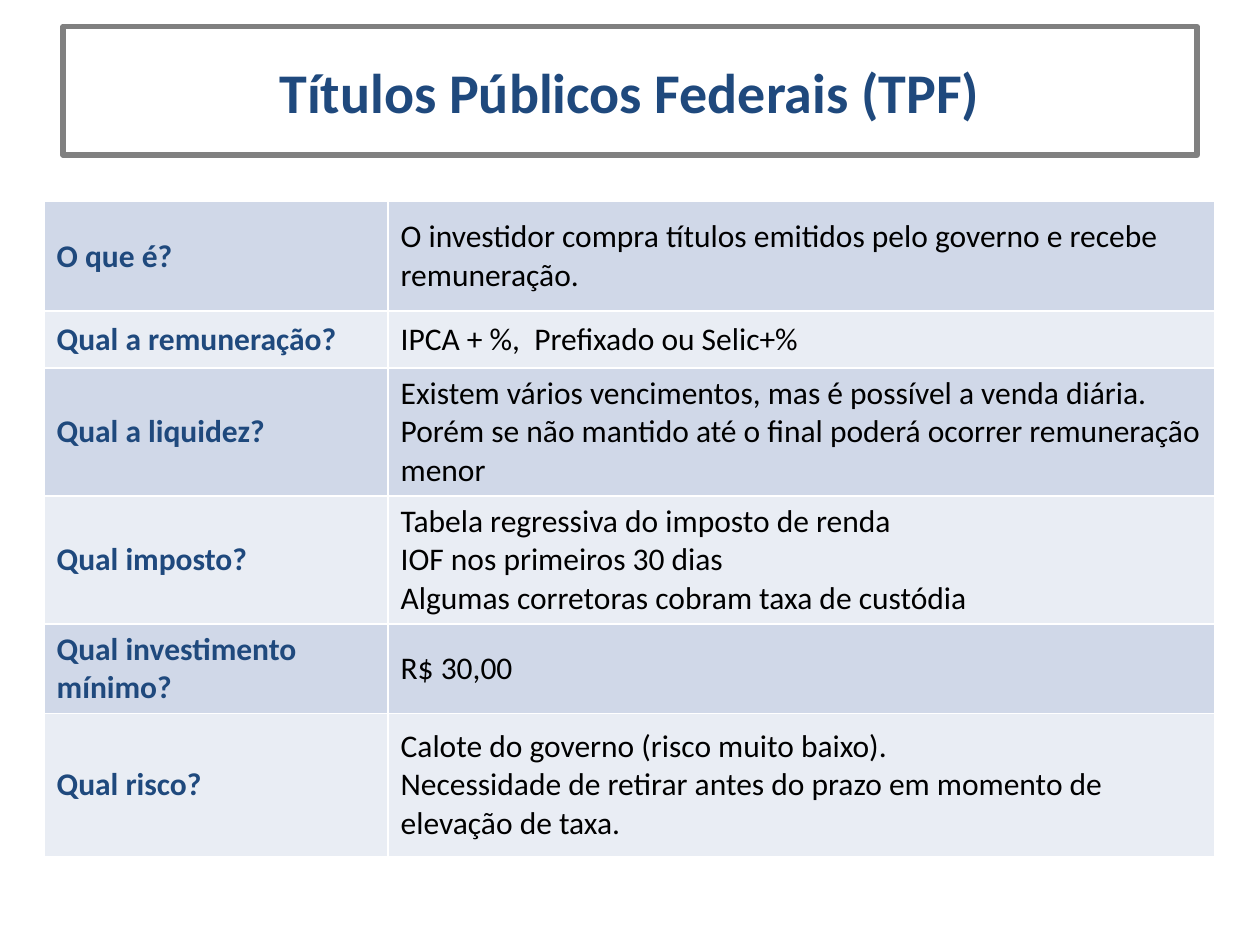
import pptx
import pptx.dml.color
import pptx.enum.text
import pptx.oxml
import pptx.oxml.ns
import pptx.util
from dataclasses import dataclass
from pptx.util import Inches


@dataclass(frozen=True)
class Theme:
    font: str = "Calibri"
    navy: str = "1F497D"
    black: str = "000000"
    frame: str = "808080"
    grid: str = "FFFFFF"
    bands: tuple = ("D0D8E8", "E9EDF4")
    title_size: int = 32
    body_size: int = 18
    frame_width: int = 3
    grid_width: int = 1


THEME = Theme()
TITLE = "Títulos Públicos Federais (TPF)"
COLUMN_WIDTHS = (2.73, 6.56)
# Row height in inches, question, answer paragraphs
QUESTIONS = (
    (0.87, "O que é?",
     ["O investidor compra títulos emitidos pelo governo e recebe remuneração."]),
    (0.45, "Qual a remuneração?", ["IPCA + %,  Prefixado ou Selic+%"]),
    (0.68, "Qual a liquidez?",
     ["Existem vários vencimentos, mas é possível a venda diária. "
      "Porém se não mantido até o final poderá ocorrer remuneração menor"]),
    (0.8, "Qual imposto?",
     ["Tabela regressiva do imposto de renda",
      "IOF nos primeiros 30 dias",
      "Algumas corretoras cobram taxa de custódia"]),
    (0.68, "Qual investimento mínimo?", ["R$ 30,00"]),
    (1.14, "Qual risco?",
     ["Calote do governo (risco muito baixo).",
      "Necessidade de retirar antes do prazo em momento de elevação de taxa."]),
)


def rgb(value):
    return pptx.dml.color.RGBColor.from_string(value)


def write(frame, paragraphs, size, color, bold, align):
    frame.text = "\n".join(paragraphs)
    font_format = {"name": THEME.font, "size": pptx.util.Pt(size), "bold": bold}
    for paragraph in frame.paragraphs:
        paragraph.alignment = align
        for run in paragraph.runs:
            for attribute, value in font_format.items():
                setattr(run.font, attribute, value)
            run.font.color.rgb = rgb(color)


def add_cell_borders(cell):
    """Put the four border lines ahead of the cell's fill, as the schema asks."""
    properties = cell._tc.get_or_add_tcPr()
    for position, side in enumerate(("lnL", "lnR", "lnT", "lnB")):
        border = pptx.oxml.parse_xml(
            f'<a:{side} {pptx.oxml.ns.nsdecls("a")} w="{pptx.util.Pt(THEME.grid_width)}">'
            f'<a:solidFill><a:srgbClr val="{THEME.grid}"/></a:solidFill></a:{side}>')
        properties.insert(position, border)


def place_title(slide, left, top, width, height):
    title = slide.shapes.title
    box = {"left": left, "top": top, "width": width, "height": height}
    for attribute, value in box.items():
        setattr(title, attribute, value)
    title.line.color.rgb = rgb(THEME.frame)
    title.line.width = pptx.util.Pt(THEME.frame_width)
    title.text_frame.vertical_anchor = pptx.enum.text.MSO_ANCHOR.MIDDLE
    write(title.text_frame, [TITLE], THEME.title_size, THEME.navy, True,
          pptx.enum.text.PP_ALIGN.CENTER)


def place_questions(slide, left, top, width, height):
    table = slide.shapes.add_table(
        len(QUESTIONS), len(COLUMN_WIDTHS), left, top, width, height).table
    table.first_row = table.horz_banding = False
    for column, column_width in zip(table.columns, COLUMN_WIDTHS):
        column.width = Inches(column_width)
    for index, (row_height, question, answer) in enumerate(QUESTIONS):
        row = table.rows[index]
        row.height = Inches(row_height)
        contents = (([question], THEME.navy, True), (answer, THEME.black, False))
        for cell, (paragraphs, color, bold) in zip(row.cells, contents):
            cell.fill.solid()
            cell.fill.fore_color.rgb = rgb(THEME.bands[index % len(THEME.bands)])
            cell.vertical_anchor = pptx.enum.text.MSO_ANCHOR.MIDDLE
            write(cell.text_frame, paragraphs, THEME.body_size, color, bold,
                  pptx.enum.text.PP_ALIGN.LEFT)
            add_cell_borders(cell)


def main():
    presentation = pptx.Presentation()
    presentation.slide_width = Inches(10)
    presentation.slide_height = Inches(7.5)
    title_only = presentation.slide_layouts[5]
    slide = presentation.slides.add_slide(title_only)
    place_title(slide, Inches(0.5), Inches(0.21), Inches(9), Inches(1.02))
    place_questions(slide, Inches(0.35), Inches(1.6), Inches(sum(COLUMN_WIDTHS)),
                    Inches(sum(row[0] for row in QUESTIONS)))
    presentation.save("out.pptx")


if __name__ == "__main__":
    main()
